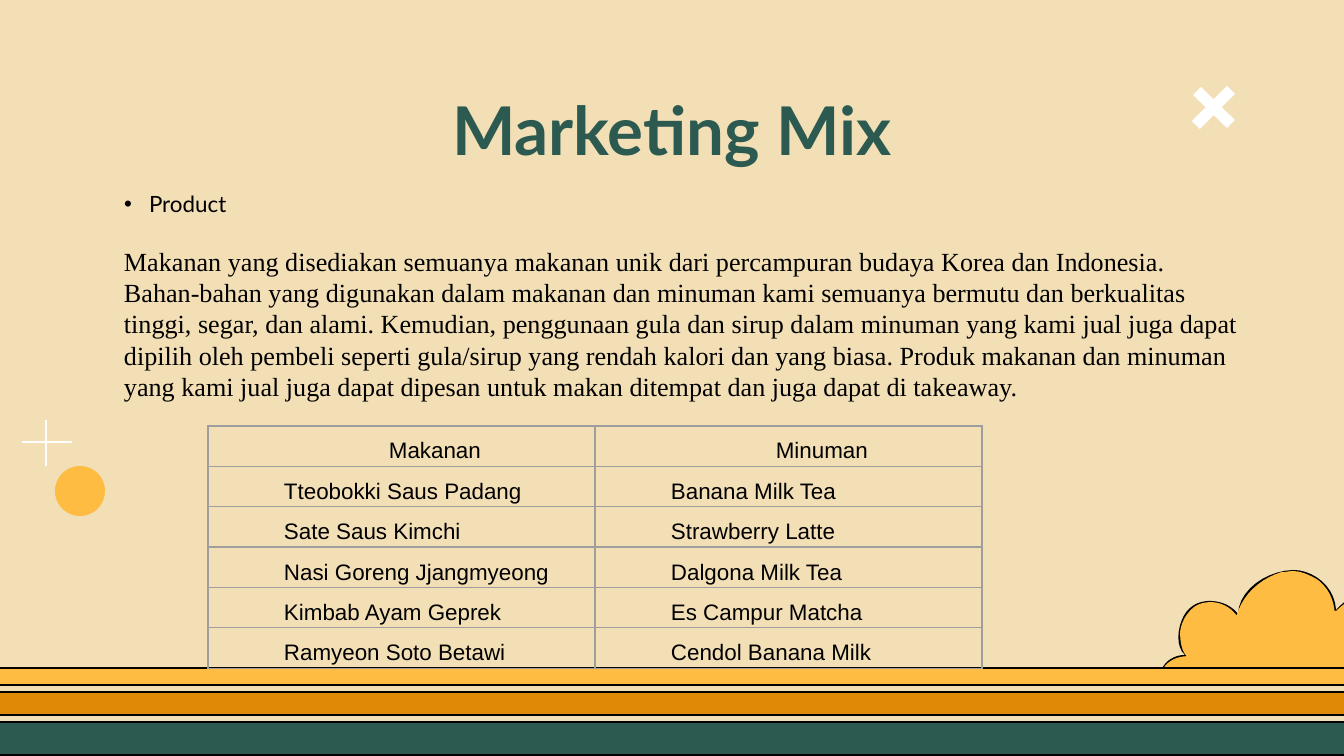
import dataclasses

import lxml.etree
import pptx
import pptx.dml.color
import pptx.enum.shapes
import pptx.enum.text
import pptx.oxml.ns
import pptx.util

SCALE = 914400 / 134.4
SHAPE = pptx.enum.shapes.MSO_SHAPE
ALIGN = pptx.enum.text.PP_ALIGN


@dataclasses.dataclass(frozen=True)
class Theme:
    sand: str = "F3DFB6"
    green: str = "2C5A50"
    amber: str = "E08906"
    gold: str = "FFBC42"
    black: str = "000000"
    white: str = "FFFFFF"
    grey: str = "9E9E9E"
    head: int = 36
    body: int = 14
    small: int = 12


THEME = Theme()

# Two numbers are a straight step, six are a Bézier step.
EDGE = [
    (1293, 570),
    (1266, 571, 1239, 590, 1238, 614),
    (1231, 605, 1220, 601, 1210, 601),
    (1203, 601, 1195, 603, 1189, 609),
    (1179, 618, 1173, 645, 1185, 655),
    (1172, 655, 1161, 664, 1160, 676),
    (1435, 676), (1435, 622),
    (1433, 602, 1409, 585, 1388, 585),
    (1368, 585, 1350, 595, 1336, 610),
    (1335, 587, 1314, 570, 1293, 570),
]
CLOUD = [
    (1293, 574),
    (1289, 574, 1286, 575, 1282, 575),
    (1262, 581, 1244, 597, 1239, 618),
    (1235, 618),
    (1229, 609, 1219, 605, 1211, 605),
    (1206, 605, 1200, 606, 1195, 610),
    (1188, 616, 1184, 624, 1183, 632),
    (1183, 640, 1184, 652, 1191, 656),
    (1188, 659),
    (1177, 659, 1165, 665, 1164, 676),
    (1458, 676),
    (1480, 673, 1485, 642, 1478, 630),
    (1474, 622, 1466, 618, 1458, 618),
    (1452, 618, 1445, 620, 1441, 625),
    (1433, 625),
    (1431, 616, 1426, 606, 1415, 599),
    (1409, 593, 1398, 590, 1388, 590),
    (1368, 590, 1352, 600, 1337, 614),
    (1332, 613),
    (1331, 599, 1325, 589, 1316, 582),
    (1309, 578, 1301, 574, 1293, 574),
]
BANDS = [(722, 33, THEME.green), (692, 23, THEME.amber), (668, 17, THEME.gold)]
LINES = [
    (46, 420, 46, 466, 1.5), (72, 442, 22, 442, 1.5),
    (1197, 91, 1231, 124, 6), (1231, 90, 1196, 125, 6),
]
MENU = [
    ("Makanan", "Minuman"),
    ("Tteobokki Saus Padang", "Banana Milk Tea"),
    ("Sate Saus Kimchi", "Strawberry Latte"),
    ("Nasi Goreng Jjangmyeong", "Dalgona Milk Tea"),
    ("Kimbab Ayam Geprek", "Es Campur Matcha"),
    ("Ramyeon Soto Betawi", "Cendol Banana Milk"),
]
ABOUT = (
    "Makanan yang disediakan semuanya makanan unik dari percampuran budaya "
    "Korea dan Indonesia. Bahan-bahan yang digunakan dalam makanan dan minuman "
    "kami semuanya bermutu dan berkualitas tinggi, segar, dan alami. Kemudian, "
    "penggunaan gula dan sirup dalam minuman yang kami jual juga dapat dipilih "
    "oleh pembeli seperti gula/sirup yang rendah kalori dan yang biasa. Produk "
    "makanan dan minuman yang kami jual juga dapat dipesan untuk makan ditempat "
    "dan juga dapat di takeaway."
)


def px(*vals):
    return [pptx.util.Emu(round(val * SCALE)) for val in vals]


def rgb(code):
    return pptx.dml.color.RGBColor.from_string(code)


def apply(item, form):
    for key, val in form.items():
        setattr(item, key, val)


def node(root, tag, **attrs):
    return lxml.etree.SubElement(root, pptx.oxml.ns.qn(tag), attrs)


def paint(shape, fill, line=None, width=0.75):
    shape.shadow.inherit = False
    shape.fill.solid()
    shape.fill.fore_color.rgb = rgb(fill)
    if line:
        shape.line.color.rgb = rgb(line)
        shape.line.width = pptx.util.Pt(width)
    else:
        shape.line.fill.background()


def trace(steps, parts=10):
    """Turn straight and Bézier steps into a list of points."""
    dots = [steps[0]]
    for step in steps[1:]:
        if len(step) == 2:
            dots.append(step)
            continue
        ends = [dots[-1], step[:2], step[2:4], step[4:]]
        for n in range(1, parts + 1):
            t = n / parts
            mix = ((1 - t) ** 3, 3 * t * (1 - t) ** 2, 3 * t * t * (1 - t), t ** 3)
            dots.append(tuple(sum(m * e[i] for m, e in zip(mix, ends)) for i in (0, 1)))
    return dots


def puff(slide, steps, fill, line=None, width=0.75):
    dots = [px(*dot) for dot in trace(steps)]
    pen = slide.shapes.build_freeform(*dots[0])
    pen.add_line_segments(dots[1:], close=True)
    paint(pen.convert_to_shape(), fill, line, width)


def block(slide, kind, box, fill, line=None):
    paint(slide.shapes.add_shape(kind, *px(*box)), fill, line)


def stroke(slide, ends, width):
    line = slide.shapes.add_connector(pptx.enum.shapes.MSO_CONNECTOR.STRAIGHT, *px(*ends))
    line.line.color.rgb = rgb(THEME.white)
    line.line.width = pptx.util.Pt(width)
    node(line._element.spPr, "a:effectLst")


def write(para, text, font, left=0, hang=0, **form):
    """Fill a paragraph; font holds name, size, colour and bold."""
    name, size, color, bold = font
    run = para.add_run()
    run.text = text
    apply(run.font, {"name": name, "size": pptx.util.Pt(size), "bold": bold})
    run.font.color.rgb = rgb(color)
    apply(para, form)
    props = para._p.get_or_add_pPr()
    for key, val in {"marL": left, "indent": -hang}.items():
        props.set(key, str(px(val)[0]))
    return props


def frame(slide, box, anchor):
    text = slide.shapes.add_textbox(*px(*box)).text_frame
    sides = ("left", "right", "top", "bottom")
    apply(text, {f"margin_{side}": 0 for side in sides})
    apply(text, {"word_wrap": True, "vertical_anchor": anchor})
    return text


def copy_text(slide):
    anchor = pptx.enum.text.MSO_ANCHOR
    title = frame(slide, (105, 86, 1134, 85), anchor.MIDDLE)
    write(title.paragraphs[0], "Marketing Mix",
          ("Lato", THEME.head, THEME.green, True), alignment=ALIGN.CENTER)
    body = frame(slide, (105, 190, 1134, 473), anchor.TOP)
    props = write(body.paragraphs[0], "Product",
                  ("Lato", THEME.small, THEME.black, False), 44, 25)
    node(node(props, "a:buClr"), "a:srgbClr", val=THEME.black)
    node(props, "a:buFont", typeface="Arial")
    node(props, "a:buChar", char="•")
    write(body.add_paragraph(), ABOUT,
          ("Times New Roman", THEME.body, THEME.black, False), 19,
          space_before=pptx.util.Pt(15), line_spacing=pptx.util.Pt(16.8))


def border(cell):
    props = cell._tc.get_or_add_tcPr()
    for n, side in enumerate("LRTB"):
        line = node(props, f"a:ln{side}", w=str(pptx.util.Pt(0.75)))
        node(node(line, "a:solidFill"), "a:srgbClr", val=THEME.grey)
        props.insert(n, line)


def menu(slide):
    table = slide.shapes.add_table(len(MENU), 2, *px(208, 426, 774, 212)).table
    apply(table, {"first_row": False, "horz_banding": False})
    pad = px(9)[0]
    form = {"margin_left": pad, "margin_right": pad, "margin_top": 0, "margin_bottom": 0}
    for r, row in enumerate(MENU):
        for c, text in enumerate(row):
            cell = table.cell(r, c)
            apply(cell, form)
            cell.fill.background()
            border(cell)
            write(cell.text_frame.paragraphs[0], text,
                  ("Arial", THEME.small, THEME.black, False), 67, line_spacing=1.5,
                  alignment=ALIGN.JUSTIFY if r else ALIGN.CENTER)


def main():
    deck = pptx.Presentation()
    deck.slide_width, deck.slide_height = px(1344, 756)
    slide = deck.slides.add_slide(deck.slide_layouts[6])
    slide.background.fill.solid()
    slide.background.fill.fore_color.rgb = rgb(THEME.sand)
    puff(slide, EDGE, THEME.black)
    puff(slide, CLOUD, THEME.gold, THEME.gold, 3)
    for top, high, fill in BANDS:
        block(slide, SHAPE.RECTANGLE, (-23, top, 1390, high), fill, THEME.black)
    block(slide, SHAPE.OVAL, (55, 466, 50, 50), THEME.gold)
    for *ends, width in LINES:
        stroke(slide, ends, width)
    copy_text(slide)
    menu(slide)
    deck.save("out.pptx")


if __name__ == "__main__":
    main()
